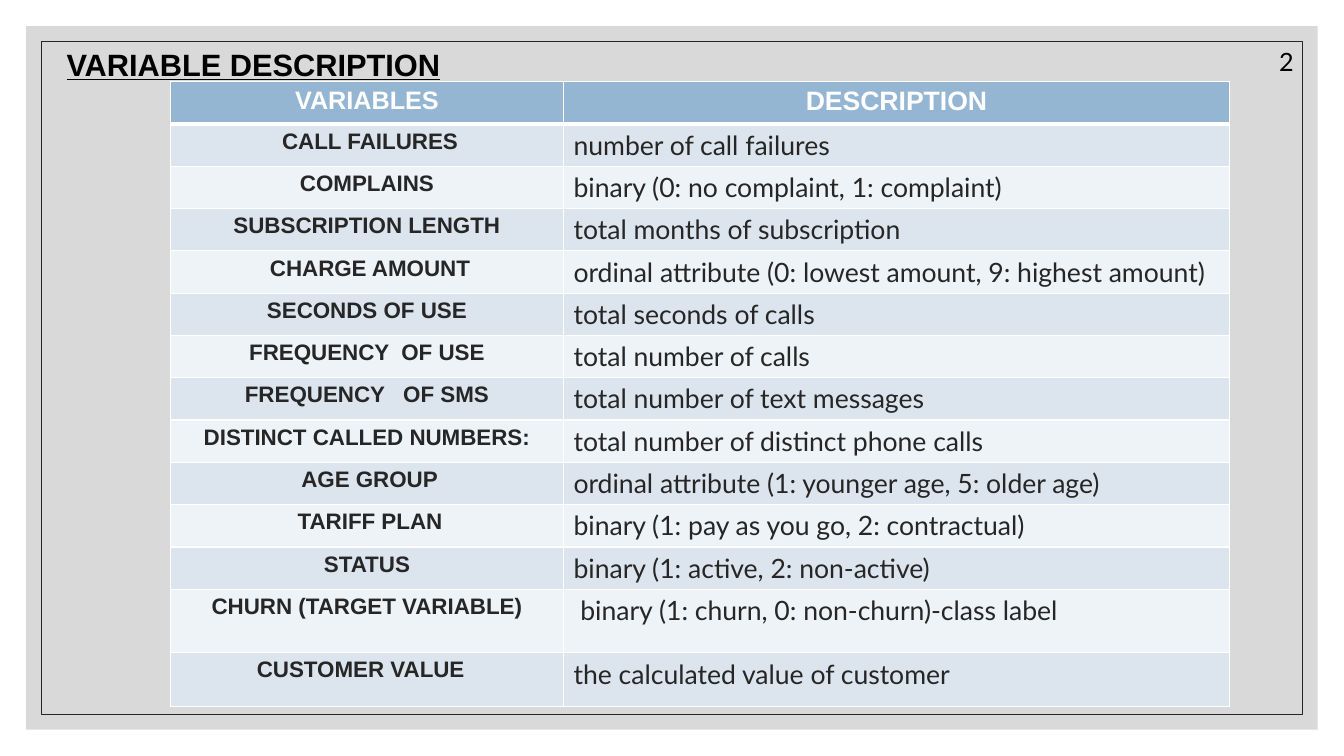
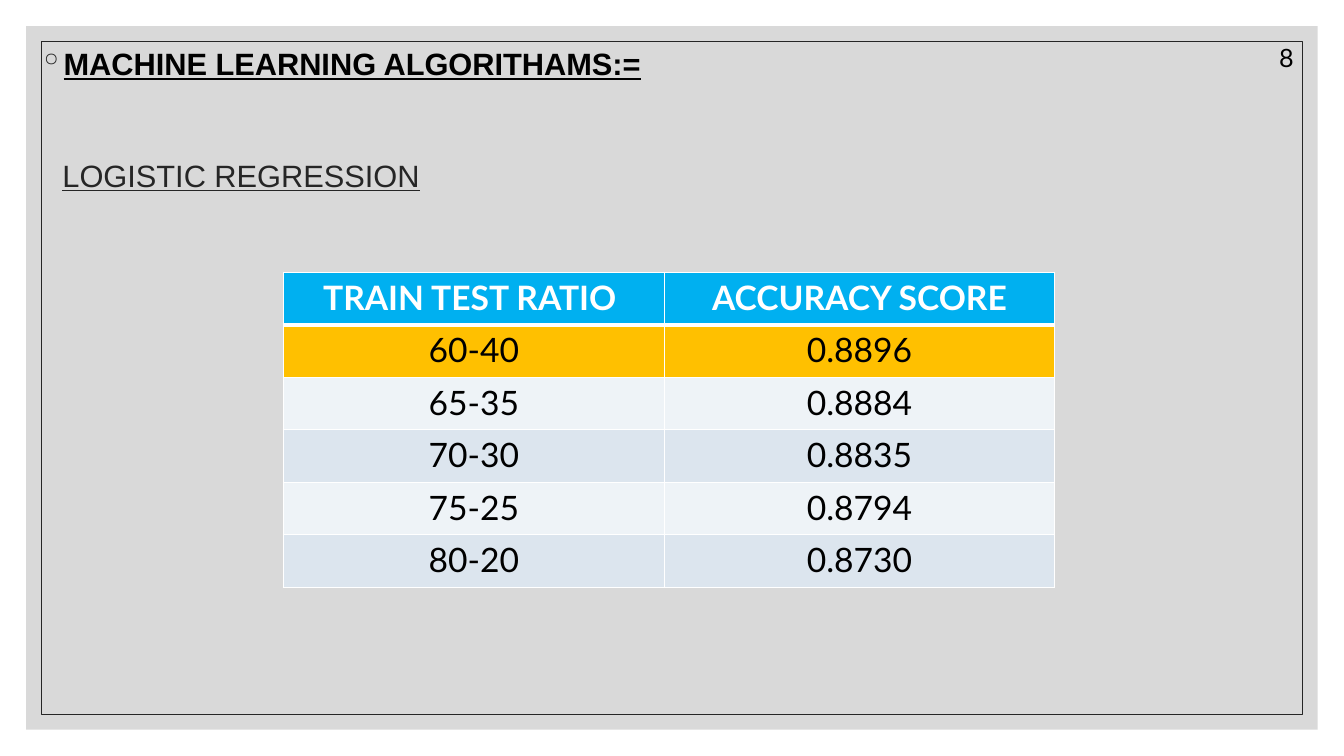
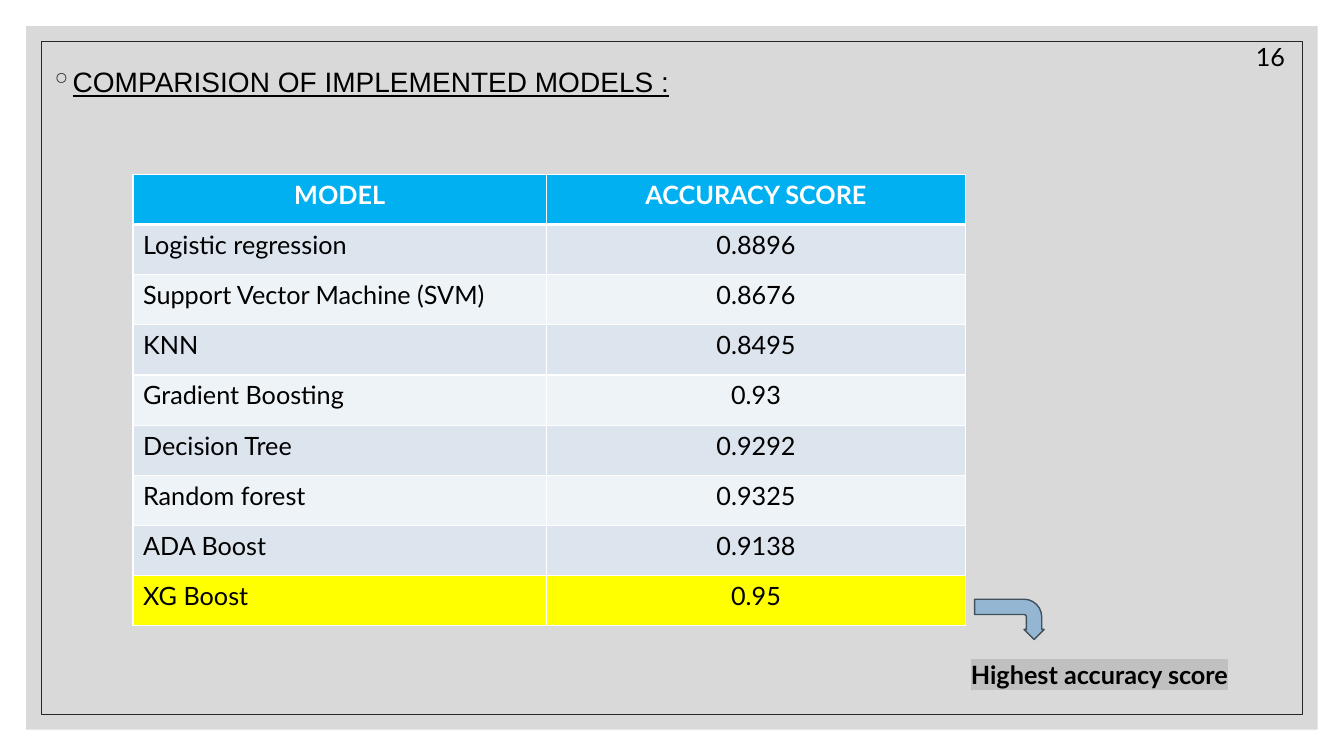
from dataclasses import dataclass, replace

from lxml.etree import SubElement
from pptx import Presentation
from pptx.dml.color import RGBColor
from pptx.enum.shapes import MSO_SHAPE
from pptx.enum.text import MSO_ANCHOR, MSO_AUTO_SIZE, PP_ALIGN
from pptx.oxml import parse_xml
from pptx.oxml.ns import nsdecls, qn
from pptx.util import Inches, Pt

SLIDE_WIDTH, SLIDE_HEIGHT = Inches(13.33), Inches(7.5)
COLORS = {
    "black": "000000", "ink": "262626", "white": "FFFFFF", "panel": "D9D9D9",
    "steel": "94B6D2", "steel_edge": "41505C", "band_dark": "DCE5EE",
    "band_light": "EEF3F7", "sky": "00B0F0", "amber": "FFC000",
    "yellow": "FFFF00", "marker": "C0C0C0",
}


@dataclass(frozen=True)
class TextStyle:
    size: float
    font: str = "Lato"
    color: str = "black"
    bold: bool = False
    underline: bool = False
    align: PP_ALIGN = PP_ALIGN.LEFT


HEADING = TextStyle(22, "Arial", bold=True, underline=True)
NUMBER = TextStyle(18)

VARIABLES = [
    ("VARIABLES", "DESCRIPTION"),
    (" CALL FAILURES", "number of call failures"),
    ("COMPLAINS", "binary (0: no complaint, 1: complaint)"),
    ("SUBSCRIPTION LENGTH", "total months of subscription"),
    (" CHARGE AMOUNT", "ordinal attribute (0: lowest amount, 9: highest amount)"),
    ("SECONDS OF USE", "total seconds of calls"),
    ("FREQUENCY  OF USE", "total number of calls"),
    ("FREQUENCY   OF SMS", "total number of text messages"),
    ("DISTINCT CALLED NUMBERS:", "total number of distinct phone calls"),
    (" AGE GROUP", "ordinal attribute (1: younger age, 5: older age)"),
    (" TARIFF PLAN", "binary (1: pay as you go, 2: contractual)"),
    ("STATUS", "binary (1: active, 2: non-active)"),
    ("CHURN (TARGET VARIABLE)", " binary (1: churn, 0: non-churn)-class label"),
    ("CUSTOMER VALUE  ", "the calculated value of customer"),
]
SPLIT_SCORES = [
    ("TRAIN TEST RATIO ", "ACCURACY SCORE"),
    ("60-40", "0.8896"),
    ("65-35", "0.8884"),
    ("70-30", "0.8835"),
    ("75-25", "0.8794"),
    ("80-20", "0.8730"),
]
MODEL_SCORES = [
    ("MODEL", "ACCURACY SCORE"),
    ("Logistic regression", "0.8896"),
    ("Support Vector Machine (SVM)", "0.8676"),
    ("KNN", "0.8495"),
    ("Gradient Boosting", "0.93"),
    ("Decision Tree", "0.9292"),
    ("Random forest", "0.9325"),
    ("ADA Boost", "0.9138"),
    ("XG Boost", "0.95"),
]


def rgb(name):
    return RGBColor.from_string(COLORS[name])


def across(percent):
    return round(SLIDE_WIDTH * percent / 100)


def down(percent):
    return round(SLIDE_HEIGHT * percent / 100)


def area(left, top, width, height):
    """Turn percentages of the slide into a position and size."""
    return across(left), down(top), across(width), down(height)


def inset(margin):
    """Area that leaves the same margin, in inches, on every side."""
    gap = Inches(margin)
    return gap, gap, SLIDE_WIDTH - 2 * gap, SLIDE_HEIGHT - 2 * gap


def paint(shape, fill=None, line=None, line_width=1):
    shape.shadow.inherit = False
    if fill:
        shape.fill.solid()
        shape.fill.fore_color.rgb = rgb(fill)
    else:
        shape.fill.background()
    if line:
        shape.line.color.rgb = rgb(line)
        shape.line.width = Pt(line_width)
    else:
        shape.line.fill.background()


def write(paragraph, text, style):
    paragraph.alignment = style.align
    run = paragraph.add_run()
    run.text = text
    font = run.font
    font.name, font.size = style.font, Pt(style.size)
    font.bold, font.underline = style.bold, style.underline
    font.color.rgb = rgb(style.color)
    return run


def fill_frame(shape, text, style, anchor=MSO_ANCHOR.TOP):
    frame = shape.text_frame
    frame.word_wrap = True
    frame.auto_size = MSO_AUTO_SIZE.NONE
    frame.vertical_anchor = anchor
    return write(frame.paragraphs[0], text, style)


def set_title(slide, text, place, style, anchor=MSO_ANCHOR.TOP):
    title = slide.shapes.title
    title.left, title.top, title.width, title.height = place
    fill_frame(title, text, style, anchor)
    return title


def add_label(slide, text, place, style):
    label = slide.shapes.add_textbox(*place)
    return label, fill_frame(label, text, style)


def add_bullet(shape):
    paragraph = shape.text_frame.paragraphs[0]
    paragraph.line_spacing = 1.1
    paragraph.space_before = Pt(9)
    properties = paragraph._p.get_or_add_pPr()
    properties.set("marL", str(Inches(0.2)))
    properties.set("indent", str(-Inches(0.2)))
    color = SubElement(properties, qn("a:buClr"))
    SubElement(color, qn("a:srgbClr"), val=COLORS["ink"])
    SubElement(properties, qn("a:buChar"), char="◦")


def highlight(run, color):
    marker = parse_xml(
        f'<a:highlight {nsdecls("a")}><a:srgbClr val="{COLORS[color]}"/></a:highlight>')
    run._r.get_or_add_rPr().find(qn("a:solidFill")).addnext(marker)


def set_borders(cell, top=1, bottom=1):
    properties = cell._tc.get_or_add_tcPr()
    sides = {"lnL": 1, "lnR": 1, "lnT": top, "lnB": bottom}
    for position, (side, points) in enumerate(sides.items()):
        properties.insert(position, parse_xml(
            f'<a:{side} {nsdecls("a")} w="{Pt(points)}"><a:solidFill>'
            f'<a:srgbClr val="{COLORS["white"]}"/></a:solidFill></a:{side}>'))


def add_grid(slide, rows, corner, widths, heights, header_fill,
             header_styles, body_styles, marked=None):
    """Banded table; marked maps a row number to its own fill."""
    place = area(*corner, sum(widths), sum(heights))
    table = slide.shapes.add_table(len(rows), len(widths), *place).table
    for column, width in zip(table.columns, widths):
        column.width = across(width)
    fills = {0: header_fill, **(marked or {})}
    for number, (texts, height) in enumerate(zip(rows, heights)):
        table.rows[number].height = down(height)
        band = "band_dark" if number % 2 else "band_light"
        styles = body_styles if number else header_styles
        for column, (text, style) in enumerate(zip(texts, styles)):
            cell = table.cell(number, column)
            cell.fill.solid()
            cell.fill.fore_color.rgb = rgb(fills.get(number, band))
            set_borders(cell, top=3 if number == 1 else 1,
                        bottom=1 if number else 3)
            write(cell.text_frame.paragraphs[0], text, style)


def add_page_number(slide, number, left, top):
    add_label(slide, number, area(left, top, 4.35, 5.33), NUMBER)


def frame_layout(layout, slide):
    """Draw the grey panel and its outline, then move them to the layout."""
    panel = slide.shapes.add_shape(MSO_SHAPE.RECTANGLE, *inset(0.26))
    paint(panel, fill="panel")
    outline = slide.shapes.add_shape(MSO_SHAPE.RECTANGLE, *inset(0.41))
    paint(outline, line="ink", line_width=0.5)
    for position, shape in enumerate((panel, outline), start=2):
        layout.shapes.element.insert(position, shape.element)


def variable_slide(slide):
    set_title(slide, "VARIABLE DESCRIPTION", area(4.2, 5.33, 50.25, 6.27), HEADING)
    header = TextStyle(18, "Arial", "white", bold=True, align=PP_ALIGN.CENTER)
    add_grid(slide, VARIABLES, (12.68, 10.8), (29.25, 49.55),
             [5.6] * 12 + [8.4, 7.07], "steel",
             (header, replace(header, size=19)),
             (replace(header, size=16, color="ink"), TextStyle(19, color="ink")))
    add_page_number(slide, "2", 94.43, 5.47)


def regression_slide(slide):
    set_title(slide, "LOGISTIC REGRESSION", area(3.9, 13.07, 81.22, 20.13),
              replace(HEADING, color="ink", bold=False), MSO_ANCHOR.MIDDLE)
    section, _ = add_label(slide, "MACHINE LEARNING ALGORITHAMS:=",
                           area(2.18, 4.8, 75.9, 10.93), HEADING)
    add_bullet(section)
    body = TextStyle(24, align=PP_ALIGN.CENTER)
    header = replace(body, color="white", bold=True)
    add_grid(slide, SPLIT_SCORES, (21.08, 36), (28.35, 29.05),
             [6.95] * len(SPLIT_SCORES), "sky",
             (header, header), (body, body), {1: "amber"})
    add_page_number(slide, "8", 94.43, 4.93)


def comparison_slide(slide):
    title = set_title(slide, "COMPARISION OF IMPLEMENTED MODELS :",
                      area(3, 7.47, 83.55, 9.07), replace(HEADING, size=20, bold=False))
    add_bullet(title)
    score = replace(NUMBER, align=PP_ALIGN.CENTER)
    header = replace(score, color="white", bold=True)
    add_grid(slide, MODEL_SCORES, (9.9, 23.07), (30.75, 31.2),
             [6.64] * len(MODEL_SCORES), "sky",
             (header, header), (NUMBER, score), {8: "yellow"})
    _, best = add_label(slide, "Highest accuracy score", area(71.5, 86.53, 24, 5.33),
                        replace(NUMBER, bold=True))
    highlight(best, "marker")
    arrow = slide.shapes.add_shape(MSO_SHAPE.BENT_ARROW, *area(73.6, 77.33, 3, 9.2))
    arrow.rotation = 90
    for index, share in enumerate((0.38, 0.25, 0.25, 0.44)):
        arrow.adjustments[index] = share
    paint(arrow, "steel", "steel_edge")
    add_page_number(slide, "16", 92.7, 4.8)


def main():
    deck = Presentation()
    deck.slide_width, deck.slide_height = SLIDE_WIDTH, SLIDE_HEIGHT
    title_only = deck.slide_layouts[5]
    builders = (variable_slide, regression_slide, comparison_slide)
    for number, build in enumerate(builders):
        slide = deck.slides.add_slide(title_only)
        if number == 0:
            frame_layout(title_only, slide)
        build(slide)
    deck.save("out.pptx")


if __name__ == "__main__":
    main()
